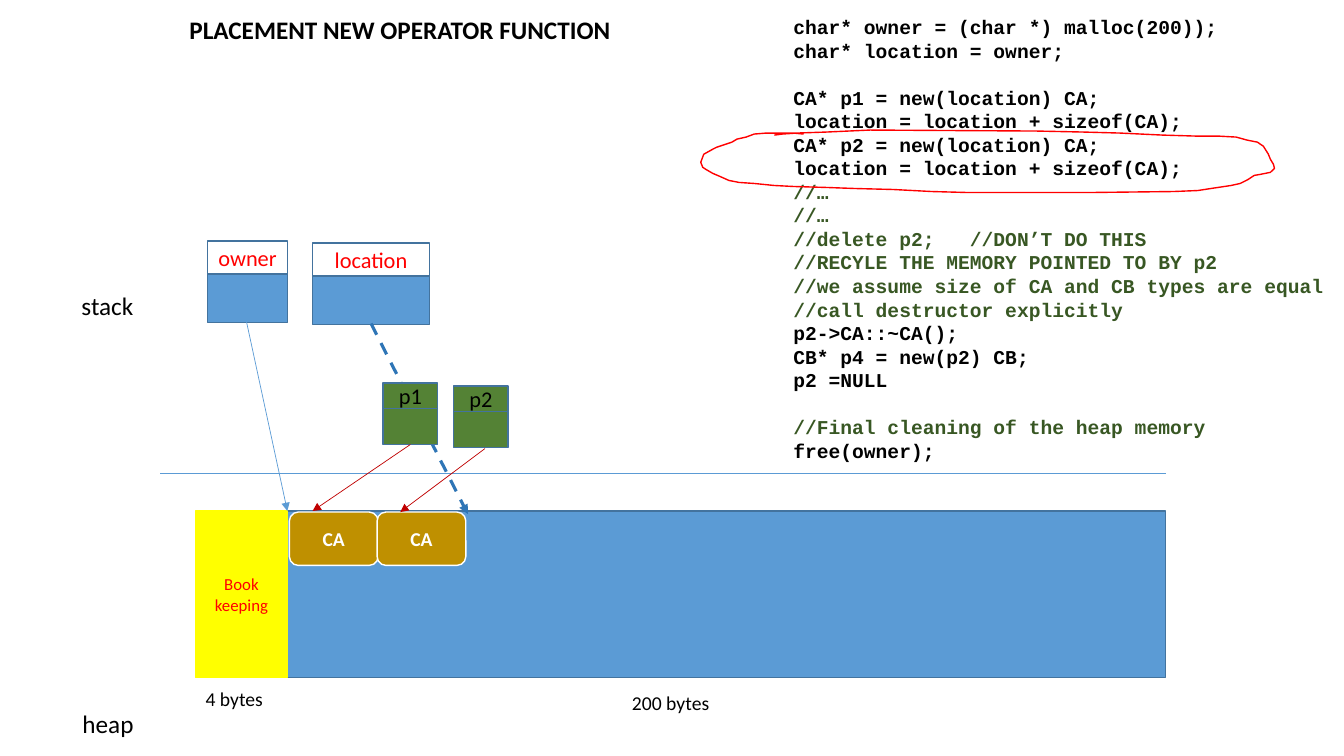
import pptx
import pptx.util
import pptx.dml.color
import pptx.enum.dml
import pptx.enum.shapes
import pptx.enum.text
import pptx.oxml.ns
from lxml import etree
from pptx.util import Inches

COLORS = {
    "black": "000000", "white": "FFFFFF", "red": "FF0000", "comment": "385723",
    "memory": "5B9BD5", "outline": "43739E", "cursor": "2E75B6",
    "yellow": "FFFF00", "pointer": "548235", "object": "BF9000", "crimson": "C00000",
}
RECT = pptx.enum.shapes.MSO_SHAPE.RECTANGLE
ROUND = pptx.enum.shapes.MSO_SHAPE.ROUNDED_RECTANGLE


class Deck:
    def __init__(self):
        self.prs = pptx.Presentation()
        self.prs.slide_width = Inches(13.33)
        self.prs.slide_height = Inches(7.5)
        self.s = self.prs.slides.add_slide(self.prs.slide_layouts[6])

    def rgb(self, name):
        return pptx.dml.color.RGBColor.from_string(COLORS[name])

    def font(self, p, size, color, bold=False, name="Calibri"):
        for r in p.runs:
            r.font.name = name
            r.font.size = pptx.util.Pt(size)
            r.font.bold = bold
            r.font.color.rgb = self.rgb(color)

    def text(self, x, y, w, h, text, size=18, bold=False):
        sp = self.s.shapes.add_textbox(Inches(x), Inches(y), Inches(w), Inches(h))
        tf = sp.text_frame
        tf.word_wrap = True
        tf.text = text
        self.font(tf.paragraphs[0], size, "black", bold)
        return tf

    def code(self, x, y, w, h, blocks, size=14, pitch=16.8):
        tf = self.text(x, y, w, h, "")
        p = tf.paragraphs[0]
        for i, block in enumerate(blocks):
            for j, line in enumerate(block):
                if i or j:
                    p = tf.add_paragraph()
                p.text = line
                p.line_spacing = pptx.util.Pt(pitch)
                if i and not j:
                    p.space_before = pptx.util.Pt(pitch)
                color = "comment" if line.startswith("//") else "black"
                self.font(p, size, color, True, "Courier New")

    def box(self, x, y, w, h, fill, line="outline", text="", size=16, color="black",
            bold=False, kind=RECT, parent=None):
        shapes = (parent or self.s).shapes
        sp = shapes.add_shape(kind, Inches(x), Inches(y), Inches(w), Inches(h))
        sp.shadow.inherit = False
        sp.fill.solid()
        sp.fill.fore_color.rgb = self.rgb(fill)
        sp.line.color.rgb = self.rgb(line)
        sp.line.width = pptx.util.Pt(1)
        if text:
            tf = sp.text_frame
            tf.word_wrap = True
            tf.vertical_anchor = pptx.enum.text.MSO_ANCHOR.MIDDLE
            tf.text = text
            p = tf.paragraphs[0]
            p.alignment = pptx.enum.text.PP_ALIGN.CENTER
            self.font(p, size, color, bold)

    def variable(self, x, y, w, name, heights, fills, color):
        group = self.s.shapes.add_group_shape()
        top, bottom = heights
        self.box(x, y, w, top, fills[0], text=name, color=color, parent=group)
        self.box(x, y + top, w, bottom, fills[1], parent=group)

    def line(self, x1, y1, x2, y2, color, width=0.5, dash=False, arrow=True):
        cx = self.s.shapes.add_connector(
            pptx.enum.shapes.MSO_CONNECTOR.STRAIGHT,
            Inches(x1), Inches(y1), Inches(x2), Inches(y2))
        cx.line.color.rgb = self.rgb(color)
        cx.line.width = pptx.util.Pt(width)
        if dash:
            cx.line.dash_style = pptx.enum.dml.MSO_LINE.DASH
        qn = pptx.oxml.ns.qn
        if arrow:
            ln = cx._element.spPr.find(qn("a:ln"))
            etree.SubElement(ln, qn("a:tailEnd"), type="triangle")
        etree.SubElement(cx._element.spPr, qn("a:effectLst"))

    def outline(self, points, color):
        start, *rest = [(Inches(x), Inches(y)) for x, y in points]
        builder = self.s.shapes.build_freeform(*start)
        builder.add_line_segments(rest, close=False)
        sp = builder.convert_to_shape()
        sp.shadow.inherit = False
        sp.fill.background()
        sp.line.color.rgb = self.rgb(color)
        sp.line.width = pptx.util.Pt(1)


CODE = [
    ["char* owner = (char *) malloc(200));", "char* location = owner;"],
    ["CA* p1 = new(location) CA;", "location = location + sizeof(CA);",
     "CA* p2 = new(location) CA;", "location = location + sizeof(CA);",
     "//…", "//…", "//delete p2;   //DON’T DO THIS",
     "//RECYLE THE MEMORY POINTED TO BY p2",
     "//we assume size of CA and CB types are equal",
     "//call destructor explicitly", "p2->CA::~CA();",
     "CB* p4 = new(p2) CB;", "p2 =NULL"],
    ["//Final cleaning of the heap memory", "free(owner);"],
]
HIGHLIGHT = [
    (7.68, 1.34), (7.76, 1.33), (7.9, 1.32), (8.2, 1.31), (8.63, 1.29), (10.28, 1.3),
    (10.74, 1.31), (11.11, 1.32), (11.53, 1.34), (11.86, 1.35), (12.08, 1.35),
    (12.26, 1.36), (12.37, 1.39), (12.47, 1.41), (12.53, 1.45), (12.58, 1.53),
    (12.6, 1.58), (12.63, 1.63), (12.64, 1.67), (12.6, 1.71), (12.5, 1.73),
    (12.44, 1.74), (12.38, 1.78), (12.3, 1.82), (12.21, 1.84), (12.01, 1.87),
    (11.88, 1.89), (11.64, 1.9), (10.78, 1.91), (9.61, 1.91), (9.24, 1.9),
    (8.86, 1.88), (8.48, 1.87), (8.2, 1.86), (7.87, 1.85), (7.68, 1.84),
    (7.48, 1.82), (7.33, 1.81), (7.23, 1.79), (7.14, 1.75), (7.07, 1.72),
    (7, 1.68), (6.97, 1.66), (6.95, 1.61), (6.98, 1.53), (7.07, 1.48),
    (7.11, 1.46), (7.2, 1.43), (7.26, 1.41), (7.31, 1.38), (7.4, 1.36),
    (7.48, 1.33), (7.6, 1.32), (7.87, 1.32), (7.97, 1.33),
]
STACK = {"heights": (0.33, 0.48), "fills": ("white", "memory"), "color": "red"}
POINTER = {"heights": (0.25, 0.36), "fills": ("pointer", "pointer"), "color": "black"}
OBJECT = {"fill": "object", "line": "white", "text": "CA", "size": 14,
          "color": "white", "bold": True, "kind": ROUND}

deck = Deck()
deck.code(7.77, 0.1, 5.83, 4.58, CODE)
deck.text(1.78, 0.09, 4.51, 0.4, "PLACEMENT NEW OPERATOR FUNCTION", bold=True)
deck.text(0.71, 2.83, 0.87, 0.4, "stack")
deck.text(0.72, 6.98, 0.87, 0.4, "heap")
deck.line(1.59, 4.7, 11.56, 4.7, "memory", arrow=False)
deck.variable(2.06, 2.39, 0.79, "owner", **STACK)
deck.box(2.85, 5.07, 8.71, 1.65, "memory")
deck.text(6.17, 6.81, 1.03, 0.34, "200 bytes", 14)
deck.box(1.94, 5.07, 0.91, 1.65, "yellow", "yellow", "Book keeping", 12, "red")
deck.text(1.94, 6.77, 1.03, 0.34, "4 bytes", 14)
deck.variable(3.1, 2.41, 1.16, "location", **STACK)
deck.line(2.41, 3.03, 2.85, 5.07, "memory")
deck.line(3.68, 3.21, 4.64, 5.1, "cursor", 2.25, dash=True)
deck.variable(3.8, 3.8, 0.54, "p1", **POINTER)
deck.box(2.87, 5.08, 0.88, 0.53, **OBJECT)
deck.line(4.07, 4.41, 3.1, 5.07, "crimson")
deck.box(3.74, 5.08, 0.88, 0.53, **OBJECT)
deck.variable(4.5, 3.83, 0.54, "p2", **POINTER)
deck.line(4.81, 4.45, 3.97, 5.08, "crimson")
deck.outline(HIGHLIGHT, "red")
deck.prs.save("out.pptx")
